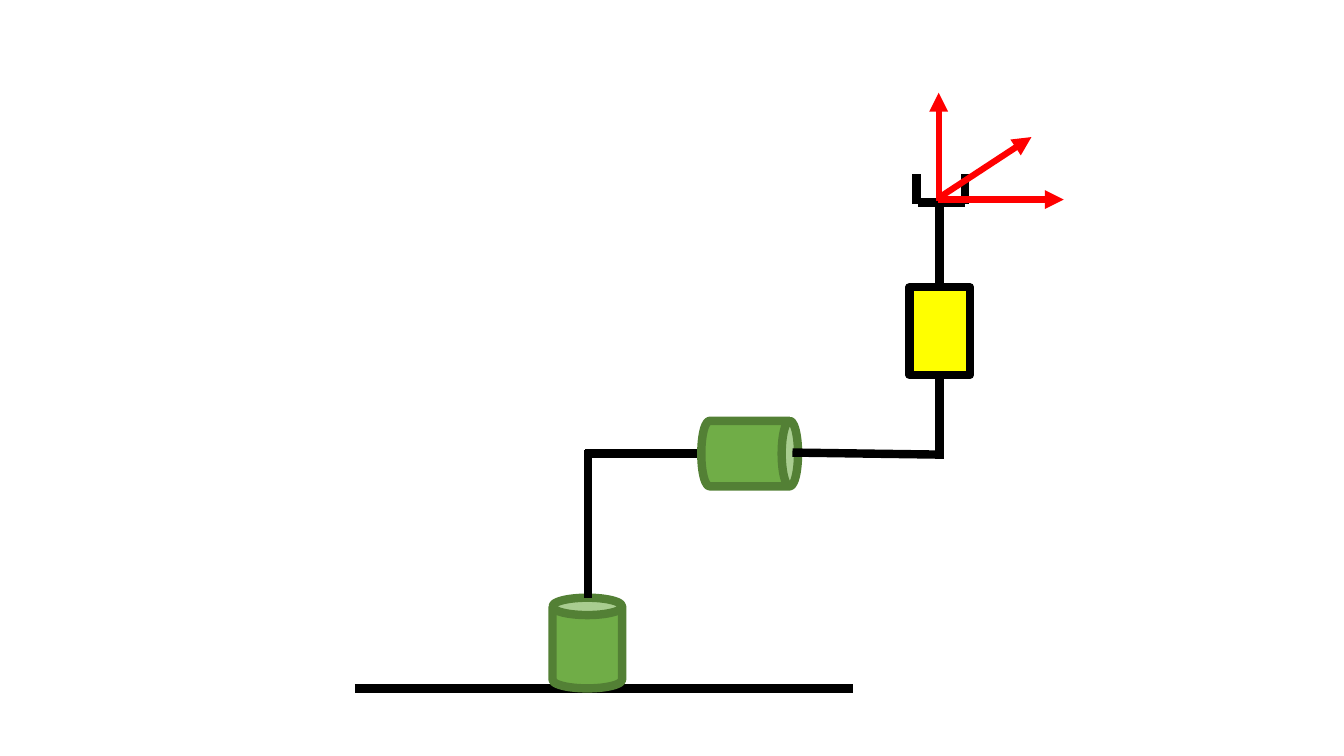
from lxml import etree
from pptx import Presentation
from pptx.dml.color import RGBColor
from pptx.enum import shapes as kinds
from pptx.oxml import ns
from pptx.util import Inches, Pt

BLACK = RGBColor(0x00, 0x00, 0x00)
RED = RGBColor(0xFF, 0x00, 0x00)
YELLOW = RGBColor(0xFF, 0xFF, 0x00)
GREEN = RGBColor(0x70, 0xAD, 0x47)
DARK_GREEN = RGBColor(0x53, 0x80, 0x35)
LINK_WIDTH = 6
AXIS_WIDTH = 4.5


def add_link(robot, start, end, color=BLACK, width=LINK_WIDTH):
    link = robot.shapes.add_connector(
        kinds.MSO_CONNECTOR.STRAIGHT,
        *(Inches(value) for value in (*start, *end)))
    link.line.color.rgb = color
    link.line.width = Pt(width)
    etree.SubElement(link._element.spPr, ns.qn("a:effectLst"))
    return link


def add_axis(robot, origin, tip):
    axis = add_link(robot, origin, tip, RED, AXIS_WIDTH)
    outline = axis.line._get_or_add_ln()
    etree.SubElement(outline, ns.qn("a:tailEnd"), type="triangle")


def add_joint(robot, preset, box, fill, edge, rotation=0):
    joint = robot.shapes.add_shape(preset, *(Inches(value) for value in box))
    joint.shadow.inherit = False
    joint.fill.solid()
    joint.fill.fore_color.rgb = fill
    joint.line.color.rgb = edge
    joint.line.width = Pt(LINK_WIDTH)
    joint.rotation = rotation
    return joint


def add_revolute_joint(robot, box, rotation=0):
    add_joint(robot, kinds.MSO_SHAPE.CAN, box, GREEN, DARK_GREEN, rotation)


def add_gripper(robot):
    add_link(robot, (9.09, 1.73), (9.09, 2.02))
    add_link(robot, (9.1, 2.01), (9.57, 2.01))
    add_link(robot, (9.57, 2.02), (9.57, 1.73))


def main():
    deck = Presentation()
    deck.slide_width, deck.slide_height = Inches(13.33), Inches(7.5)
    slide = deck.slides.add_slide(deck.slide_layouts[6])
    robot = slide.shapes.add_group_shape()

    add_link(robot, (3.52, 6.83), (8.46, 6.83))
    add_revolute_joint(robot, (5.48, 5.93, 0.69, 0.9))
    add_link(robot, (5.83, 4.46), (5.83, 5.93))
    add_link(robot, (6.96, 4.5), (5.8, 4.5))
    add_revolute_joint(robot, (7.11, 4.02, 0.65, 0.96), 90)
    add_link(robot, (9.31, 4.51), (7.86, 4.49))

    slider = add_joint(robot, kinds.MSO_SHAPE.RECTANGLE,
                       (9.02, 2.85, 0.6, 0.87), YELLOW, BLACK)
    add_gripper(robot)
    add_axis(robot, (9.31, 1.99), (9.31, 0.92))
    add_axis(robot, (9.3, 1.98), (10.55, 1.98))
    add_axis(robot, (9.3, 1.97), (10.23, 1.36))

    forearm = add_link(robot, (9.32, 3.72), (9.32, 4.55))
    forearm.begin_connect(slider, 2)
    wrist = add_link(robot, (9.32, 2.01), (9.32, 2.85))
    wrist.end_connect(slider, 0)

    deck.save("out.pptx")


if __name__ == "__main__":
    main()
